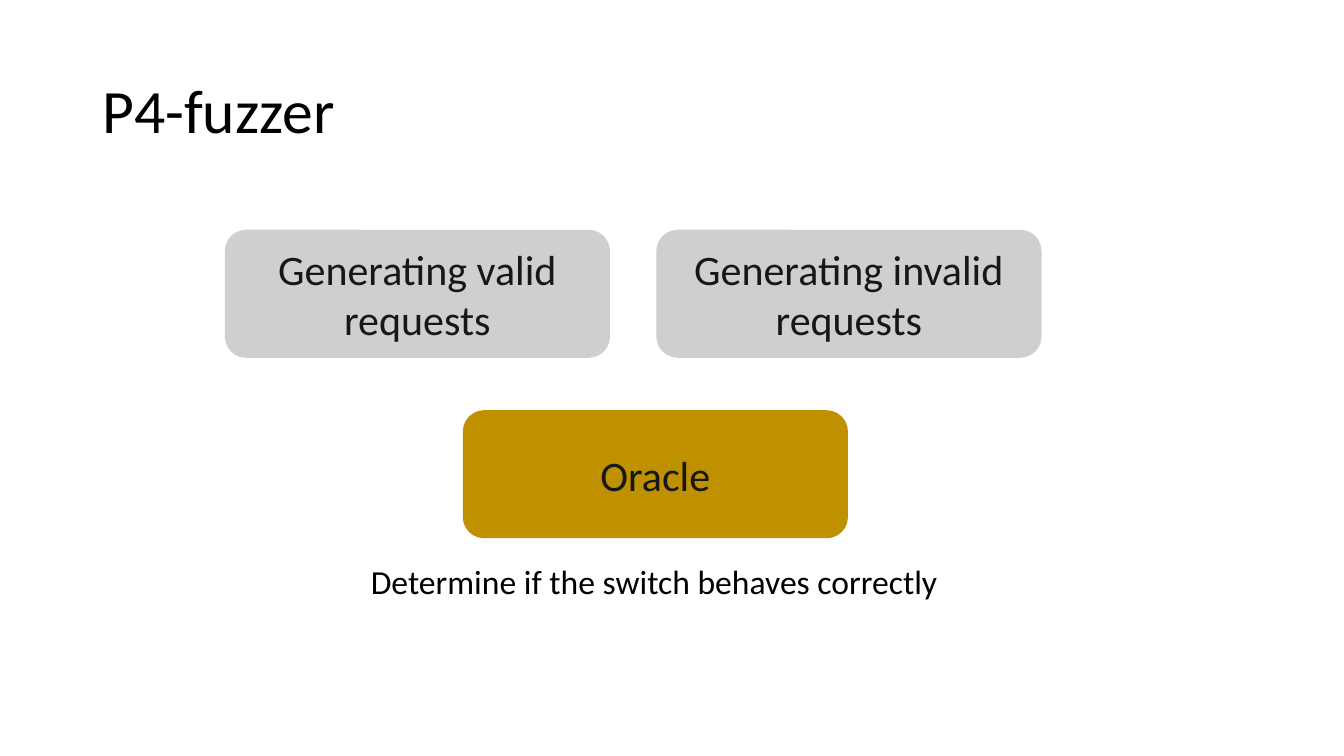
from pptx import Presentation
from pptx.dml.color import RGBColor
from pptx.enum.shapes import MSO_SHAPE
from pptx.enum.text import MSO_ANCHOR, PP_ALIGN
from pptx.util import Inches, Pt


def color(value):
    return RGBColor.from_string(value)


def write(shape, text, size, text_color, anchor):
    frame = shape.text_frame
    frame.word_wrap = True
    frame.vertical_anchor = anchor
    paragraph = frame.paragraphs[0]
    paragraph.text = text
    paragraph.font.name = "Calibri"
    paragraph.font.size = Pt(size)
    paragraph.font.color.rgb = color(text_color)
    return paragraph


presentation = Presentation()
presentation.slide_width = Inches(13.33)
presentation.slide_height = Inches(7.5)
slide = presentation.slides.add_slide(presentation.slide_layouts[6])

title = slide.shapes.add_textbox(Inches(0.92), Inches(0.4), Inches(11.5), Inches(1.45))
paragraph = write(title, "P4-fuzzer", 44, "000000", MSO_ANCHOR.MIDDLE)
paragraph.line_spacing = 0.9

boxes = [
    ("Generating valid requests", 2.23, 2.28, "D0CECE"),
    ("Generating invalid requests", 6.51, 2.28, "D0CECE"),
    ("Oracle", 4.59, 4.07, "BF9000"),
]
for text, left, top, fill in boxes:
    box = slide.shapes.add_shape(
        MSO_SHAPE.ROUNDED_RECTANGLE, Inches(left), Inches(top), Inches(3.82), Inches(1.27)
    )
    box.shadow.inherit = False
    box.fill.solid()
    box.fill.fore_color.rgb = color(fill)
    box.line.fill.background()
    paragraph = write(box, text, 30, "181717", MSO_ANCHOR.MIDDLE)
    paragraph.alignment = PP_ALIGN.CENTER

caption = slide.shapes.add_textbox(Inches(3.58), Inches(5.52), Inches(6.74), Inches(0.5))
write(caption, "Determine if the switch behaves correctly", 24, "000000", MSO_ANCHOR.TOP)

presentation.save("out.pptx")
